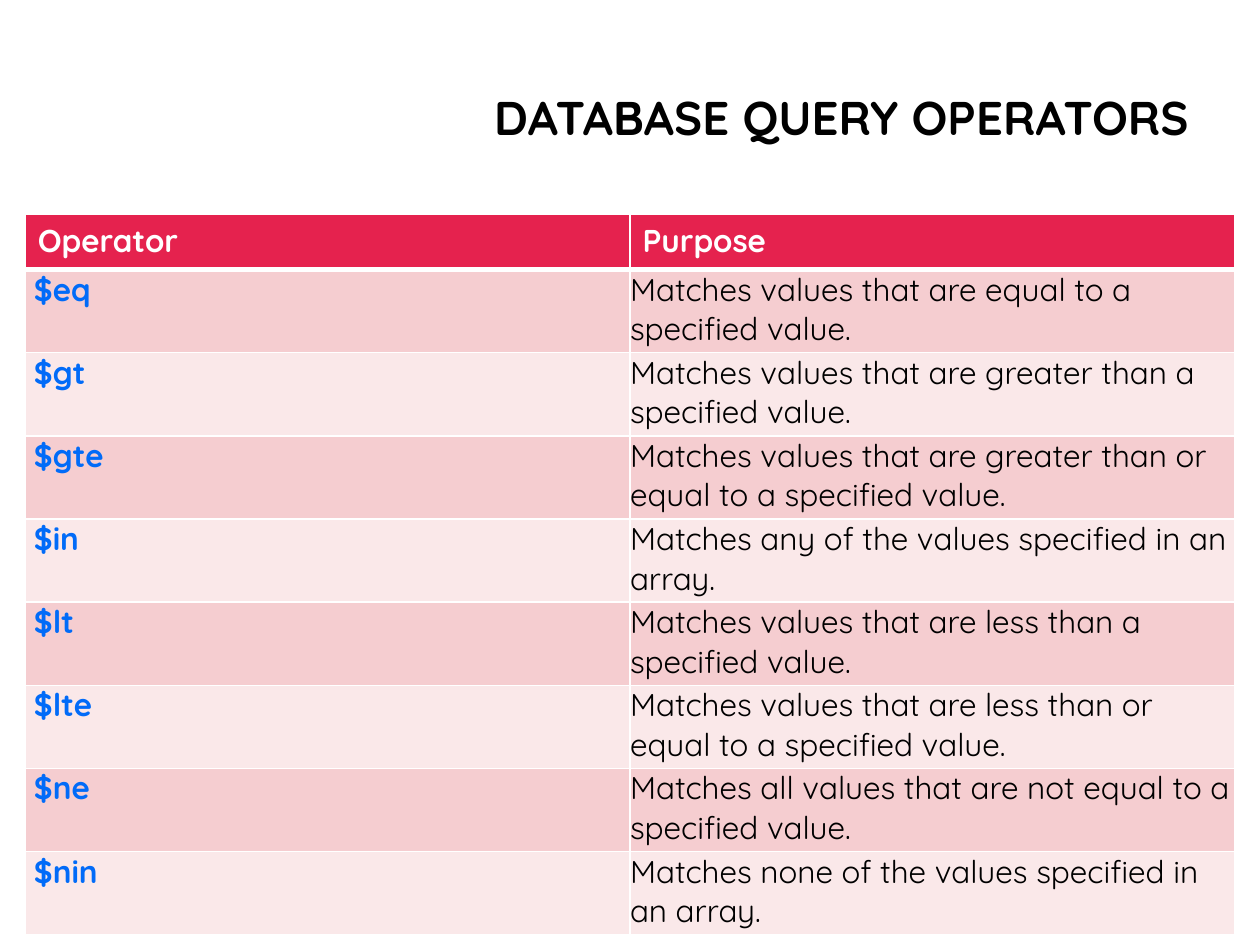
from dataclasses import dataclass

from lxml.etree import SubElement
from pptx import Presentation
from pptx.dml.color import RGBColor
from pptx.enum.text import MSO_ANCHOR, PP_ALIGN
from pptx.oxml.ns import qn
from pptx.util import Inches, Pt


@dataclass(frozen=True)
class Theme:
    font: str = "Quicksand"
    title_size: int = 27
    table_size: int = 18
    text: str = "000000"
    white: str = "FFFFFF"
    header: str = "E5224E"
    operator: str = "016BF8"
    bands: tuple = ("F5CDD0", "FAE8E9")
    thin: int = 1
    thick: int = 3


OPERATORS = [
    ("$eq", "Matches values that are equal to a specified value."),
    ("$gt", "Matches values that are greater than a specified value."),
    ("$gte", "Matches values that are greater than or equal to a specified value."),
    ("$in", "Matches any of the values specified in an array."),
    ("$lt", "Matches values that are less than a specified value."),
    ("$lte", "Matches values that are less than or equal to a specified value."),
    ("$ne", "Matches all values that are not equal to a specified value."),
    ("$nin", "Matches none of the values specified in an array."),
]


class SlideBuilder:
    def __init__(self, slide, theme):
        self.slide = slide
        self.theme = theme

    def style(self, paragraph, size, color, bold):
        font = paragraph.font
        font.name = self.theme.font
        font.size = Pt(size)
        font.bold = bold
        font.color.rgb = RGBColor.from_string(color)

    def title(self, text, left, top, width, height):
        shape = self.slide.shapes.add_textbox(
            Inches(left), Inches(top), Inches(width), Inches(height))
        frame = shape.text_frame
        frame.word_wrap = True
        frame.vertical_anchor = MSO_ANCHOR.MIDDLE
        paragraph = frame.paragraphs[0]
        paragraph.text = text
        paragraph.alignment = PP_ALIGN.RIGHT
        paragraph.line_spacing = 0.9
        self.style(paragraph, self.theme.title_size, self.theme.text, True)

    def borders(self, cell, top, bottom):
        properties = cell._tc.get_or_add_tcPr()
        thin = self.theme.thin
        for side, width in (("L", thin), ("R", thin), ("T", top), ("B", bottom)):
            line = SubElement(properties, qn(f"a:ln{side}"), w=str(Pt(width)))
            fill = SubElement(line, qn("a:solidFill"))
            SubElement(fill, qn("a:srgbClr"), val=self.theme.white)

    def cell(self, cell, text, fill, color, bold, top, bottom):
        # Borders come before the fill in the cell properties
        self.borders(cell, top, bottom)
        cell.fill.solid()
        cell.fill.fore_color.rgb = RGBColor.from_string(fill)
        paragraph = cell.text_frame.paragraphs[0]
        paragraph.text = text
        self.style(paragraph, self.theme.table_size, color, bold)

    def table(self, headings, rows, left, top, column_width, header_height, row_height):
        theme = self.theme
        height = header_height + len(rows) * row_height
        table = self.slide.shapes.add_table(
            len(rows) + 1, len(headings), Inches(left), Inches(top),
            Inches(column_width * len(headings)), Inches(height)).table
        for column in table.columns:
            column.width = Inches(column_width)
        for index, row in enumerate(table.rows):
            row.height = Inches(row_height if index else header_height)

        # Header row
        for column, heading in enumerate(headings):
            self.cell(table.cell(0, column), heading, theme.header, theme.white,
                      True, theme.thin, theme.thick)

        # Banded body rows, with the operator name in bold
        for index, row in enumerate(rows):
            fill = theme.bands[index % 2]
            line_above = theme.thin if index else theme.thick
            for column, text in enumerate(row):
                cell = table.cell(index + 1, column)
                is_operator = column == 0
                cell.margin_left = Inches(0.07 if is_operator else 0)
                cell.margin_top = cell.margin_right = cell.margin_bottom = 0
                self.cell(cell, text, fill,
                          theme.operator if is_operator else theme.text,
                          is_operator, line_above, theme.thin)


def main():
    presentation = Presentation()
    presentation.slide_width = Inches(10)
    presentation.slide_height = Inches(7.5)
    slide = presentation.slides.add_slide(presentation.slide_layouts[6])
    builder = SlideBuilder(slide, Theme())

    # Title
    builder.title("DATABASE QUERY OPERATORS", 2.56, 0.25, 6.97, 1.41)

    # Operator table
    builder.table(("Operator", "Purpose"), OPERATORS, left=0.2, top=1.7,
                  column_width=4.8, header_height=0.44, row_height=0.66)

    presentation.save("out.pptx")


if __name__ == "__main__":
    main()
